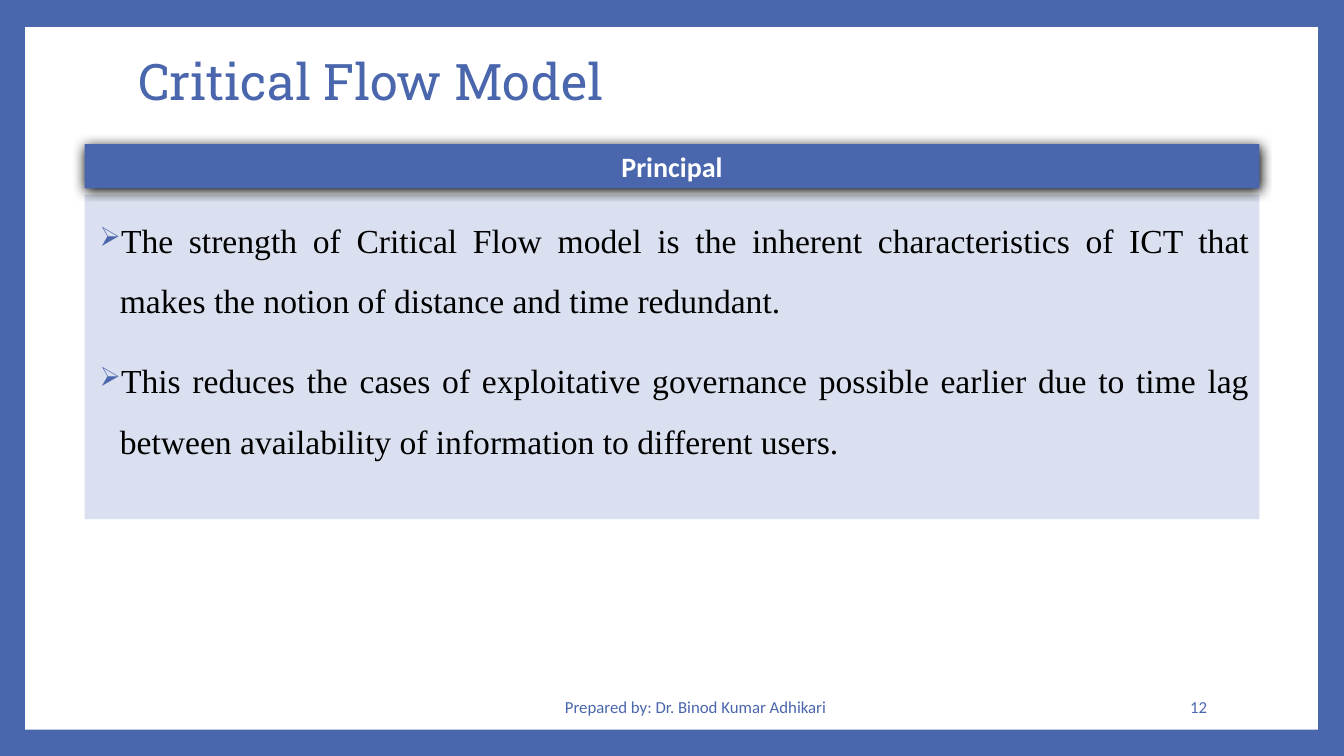
from lxml import etree
from pptx import Presentation
from pptx.dml.color import RGBColor
from pptx.enum import shapes, text
from pptx.oxml.ns import qn
from pptx.util import Inches, Pt

BLUE, PALE, WHITE, BLACK = "4A66AC", "DAE0EF", "FFFFFF", "000000"
TITLE = "Critical Flow Model"
HEADER = "Principal"
POINTS = [
    "The strength of Critical Flow model is the inherent characteristics of ICT "
    "that makes the notion of distance and time redundant. ",
    "This reduces the cases of exploitative governance possible earlier due to "
    "time lag between availability of information to different users.",
]
ALIGN = text.PP_ALIGN
FOOTERS = [
    ("Prepared by: Dr. Binod Kumar Adhikari", 4.32, 5.16, ALIGN.CENTER),
    ("12", 10.2, 1.87, ALIGN.RIGHT),
]
TITLE_FONT = dict(name="Roboto Slab", size=Pt(36))
HEADER_FONT = dict(name="Calibri", size=Pt(20), bold=True)
BODY_FONT = dict(name="Times New Roman", size=Pt(24))
FOOTER_FONT = dict(name="Calibri", size=Pt(12))


def rgb(color):
    return RGBColor.from_string(color)


def add_rect(left, top, width, height, color):
    sp = s.shapes.add_shape(shapes.MSO_SHAPE.RECTANGLE, Inches(left), Inches(top),
                            Inches(width), Inches(height))
    sp.shadow.inherit = False
    sp.fill.solid()
    sp.fill.fore_color.rgb = rgb(color)
    sp.line.fill.background()
    return sp


def write(p, words, font, color, align):
    p.alignment = align
    r = p.add_run()
    r.text = words
    for key, value in font.items():
        setattr(r.font, key, value)
    r.font.color.rgb = rgb(color)


def add_bullet(p):
    pPr = p._p.get_or_add_pPr()
    pPr.set("marL", str(Inches(0.25)))
    pPr.set("indent", str(Inches(-0.2)))
    clr = etree.SubElement(pPr, qn("a:buClr"))
    etree.SubElement(clr, qn("a:srgbClr"), val=BLUE)
    etree.SubElement(pPr, qn("a:buSzPct"), val="80000")
    etree.SubElement(pPr, qn("a:buChar"), char="➢")


prs = Presentation()
prs.slide_width, prs.slide_height = Inches(13.33), Inches(7.5)
s = prs.slides.add_slide(prs.slide_layouts[5])

# Blue frame around a white page
s.background.fill.solid()
s.background.fill.fore_color.rgb = rgb(BLUE)
page = add_rect(0.25, 0.27, 12.82, 6.97, WHITE)
s.shapes._spTree.insert(2, page._element)

# Title
title = s.shapes.title
title.left, title.top = Inches(1.27), Inches(0.36)
title.width, title.height = Inches(10.8), Inches(0.96)
tf = title.text_frame
tf.vertical_anchor = text.MSO_ANCHOR.MIDDLE
tf.paragraphs[0].line_spacing = 0.9
write(tf.paragraphs[0], TITLE, TITLE_FONT, BLUE, ALIGN.LEFT)

# Body panel with bullets
tf = add_rect(0.84, 1.93, 11.65, 3.22, PALE).text_frame
tf.word_wrap = True
tf.vertical_anchor = text.MSO_ANCHOR.TOP
for i, point in enumerate(POINTS):
    p = tf.add_paragraph() if i else tf.paragraphs[0]
    add_bullet(p)
    p.line_spacing = 1.5
    p.space_before = Pt(14 if i else 0)
    write(p, point, BODY_FONT, BLACK, ALIGN.JUSTIFY)

# Footer and slide number
for words, left, width, align in FOOTERS:
    tf = s.shapes.add_textbox(Inches(left), Inches(6.81), Inches(width),
                              Inches(0.4)).text_frame
    tf.word_wrap = True
    tf.vertical_anchor = text.MSO_ANCHOR.MIDDLE
    write(tf.paragraphs[0], words, FOOTER_FONT, BLUE, align)

# Header bar with soft shadow
header = add_rect(0.84, 1.43, 11.65, 0.44, BLUE)
effects = header._element.spPr.find(qn("a:effectLst"))
shadow = etree.SubElement(effects, qn("a:outerShdw"), blurRad=str(Pt(8.5)),
                          dist=str(Pt(1)), dir="5400000", rotWithShape="0")
etree.SubElement(shadow, qn("a:srgbClr"), val=BLACK)
tf = header.text_frame
tf.word_wrap = True
tf.vertical_anchor = text.MSO_ANCHOR.TOP
write(tf.paragraphs[0], HEADER, HEADER_FONT, WHITE, ALIGN.CENTER)

prs.save("out.pptx")
